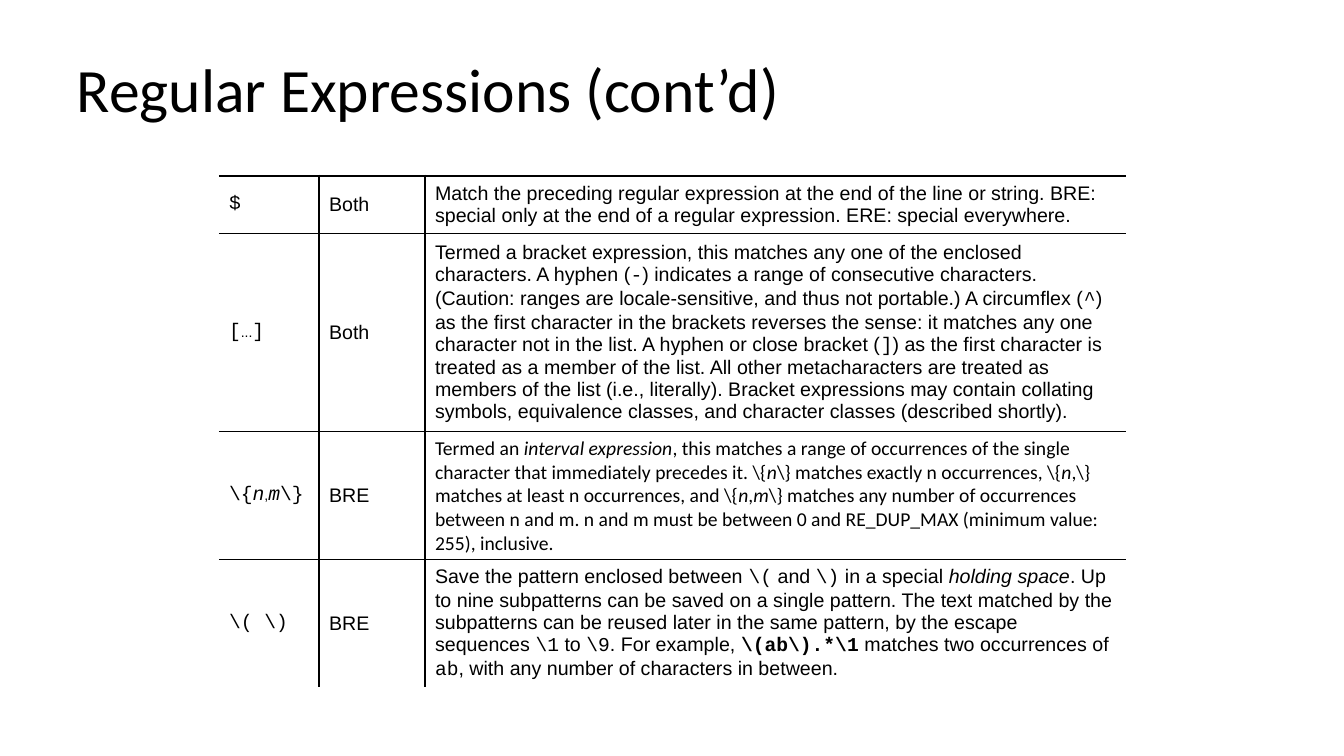
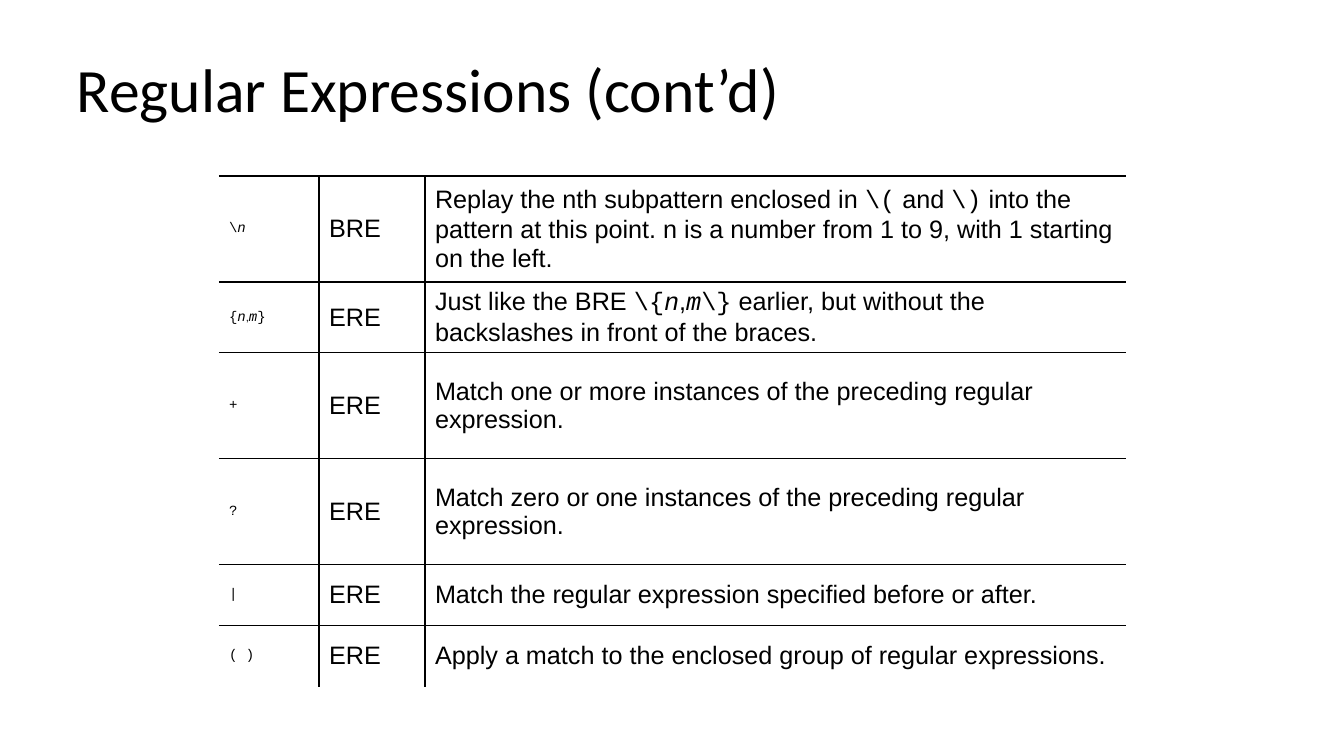
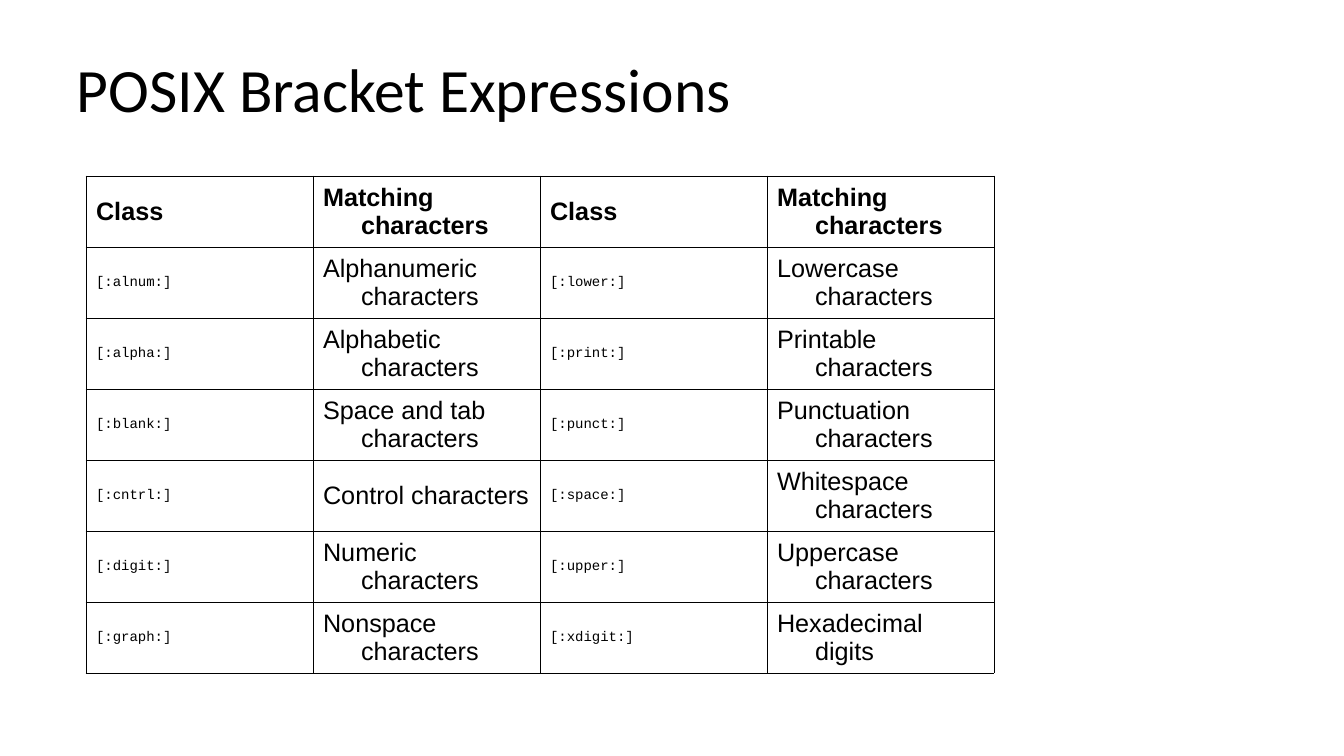
from dataclasses import dataclass

from lxml import etree
from pptx import Presentation
from pptx.dml.color import RGBColor
from pptx.enum.text import MSO_ANCHOR
from pptx.oxml.ns import qn
from pptx.util import Pt

# Shared scale, colours and fonts
PIXEL = 914400 / 100.8
SLIDE_WIDTH, SLIDE_HEIGHT = 1344, 756
BLACK = RGBColor(0x00, 0x00, 0x00)
BODY_FONT, TITLE_FONT, CODE_FONT = "Arial", "Calibri", "Courier New"
MIDDLE = MSO_ANCHOR.MIDDLE
TITLE_BOX = (67, 30, 1210, 126)
HANGING = 38


@dataclass
class Run:
    text: str
    font: str = BODY_FONT
    bold: bool = False
    italic: bool = False
    small: bool = False


@dataclass
class TableStyle:
    symbol_size: float
    small_size: float
    text_size: float
    line: float
    top_line: float = 0
    framed: bool = False
    hanging: int = 0


def px(length):
    return round(length * PIXEL)


def code(text, **style):
    return Run(text, CODE_FONT, **style)


def variable(text):
    return code(text, italic=True)


def small(text):
    return Run(text, small=True)


def calibri(text, italic=False):
    return Run(text, TITLE_FONT, italic=italic)


def add_run(paragraph, content, size):
    run = paragraph.add_run()
    run.text = content.text
    font = run.font
    font.name, font.size = content.font, Pt(size)
    font.bold, font.italic = content.bold, content.italic
    font.color.rgb = BLACK


def set_borders(cell, widths):
    """Draw left, right, top and bottom lines; a width of 0 means no line."""
    properties = cell._tc.get_or_add_tcPr()
    for position, (side, width) in enumerate(zip("LRTB", widths)):
        line = etree.Element(qn(f"a:ln{side}"), w=str(Pt(width)))
        if width:
            fill = etree.SubElement(line, qn("a:solidFill"))
            etree.SubElement(fill, qn("a:srgbClr"), val=str(BLACK))
        else:
            etree.SubElement(line, qn("a:noFill"))
        properties.insert(position, line)


def fill_cell(cell, content, style):
    cell.fill.background()
    cell.vertical_anchor = MIDDLE
    paragraph = cell.text_frame.paragraphs[0]
    if style.hanging:
        properties = paragraph._p.get_or_add_pPr()
        properties.set("marL", str(px(style.hanging)))
        properties.set("indent", str(-px(style.hanging)))
    # A cell that opens with code holds a symbol
    parts = content if isinstance(content, list) else [Run(content)]
    is_symbol = parts[0].font == CODE_FONT
    for part in parts:
        size = style.symbol_size if is_symbol else style.text_size
        add_run(paragraph, part, style.small_size if part.small else size)


def add_title(slide, text, box):
    shape = slide.shapes.add_textbox(*map(px, box))
    frame = shape.text_frame
    frame.word_wrap = True
    frame.vertical_anchor = MIDDLE
    paragraph = frame.paragraphs[0]
    paragraph.line_spacing = 0.9
    add_run(paragraph, Run(text, TITLE_FONT), 44)


def add_ruled_table(slide, left, top, widths, heights, rows, style):
    shape = slide.shapes.add_table(len(rows), len(widths), px(left), px(top),
                                   px(sum(widths)), px(sum(heights)))
    table = shape.table
    table.first_row = table.horz_banding = False
    for column, width in zip(table.columns, widths):
        column.width = px(width)
    for row, height in zip(table.rows, heights):
        row.height = px(height)
    last_row, last_column = len(rows) - 1, len(widths) - 1
    edge = style.line if style.framed else 0
    for i, row in enumerate(rows):
        for j, content in enumerate(row):
            cell = table.cell(i, j)
            fill_cell(cell, content, style)
            set_borders(cell, (
                style.line if j else edge,
                style.line if j < last_column else edge,
                style.line if i else style.top_line or style.line,
                style.line if i < last_row else edge))


def add_table_slide(presentation, title, *table):
    slide = presentation.slides.add_slide(presentation.slide_layouts[6])
    add_title(slide, title, TITLE_BOX)
    add_ruled_table(slide, *table)


# Slide content
BASIC_ROWS = [
    ([code("$")], "Both",
     "Match the preceding regular expression at the end of the line or string. "
     "BRE: special only at the end of a regular expression. "
     "ERE: special everywhere."),
    ([code("["), small("..."), code("]")], "Both", [
        Run("Termed a bracket expression, this matches any one of the enclosed "
            "characters. A hyphen ("),
        code("-"),
        Run(") indicates a range of consecutive characters. (Caution: ranges are "
            "locale-sensitive, and thus not portable.) A circumflex ("),
        code("^"),
        Run(") as the first character in the brackets reverses the sense: it "
            "matches any one character not in the list. A hyphen or close "
            "bracket ("),
        code("]"),
        Run(") as the first character is treated as a member of the list. All "
            "other metacharacters are treated as members of the list (i.e., "
            "literally). Bracket expressions may contain collating symbols, "
            "equivalence classes, and character classes (described shortly)."),
    ]),
    ([code("\\{"), variable("n"), small(","), variable("m"), code("\\}")], "BRE", [
        calibri("Termed an "), calibri("interval expression", True),
        calibri(", this matches a range of occurrences of the single character "
                "that immediately precedes it. \\{"),
        calibri("n", True), calibri("\\} matches exactly n occurrences, \\{"),
        calibri("n", True),
        calibri(",\\} matches at least n occurrences, and \\{"),
        calibri("n", True), calibri(","), calibri("m", True),
        calibri("\\} matches any number of occurrences between n and m. n and m "
                "must be between 0 and RE_DUP_MAX (minimum value: 255), "
                "inclusive."),
    ]),
    ([code("\\( \\)")], "BRE", [
        Run("Save the pattern enclosed between "), code("\\("), Run(" and "),
        code("\\)"), Run(" in a special "), Run("holding space", italic=True),
        Run(". Up to nine subpatterns can be saved on a single pattern. The text "
            "matched by the subpatterns can be reused later in the same pattern, "
            "by the escape sequences "),
        code("\\1"), Run(" to "), code("\\9"), Run(". For example, "),
        code("\\(ab\\).*\\1", bold=True), Run(" matches two occurrences of "),
        code("ab"), Run(", with any number of characters in between."),
    ]),
]

EXTENDED_ROWS = [
    ([code("\\"), variable("n")], "BRE", [
        Run("Replay the nth subpattern enclosed in "), code("\\("), Run(" and "),
        code("\\)"),
        Run(" into the pattern at this point. n is a number from 1 to 9, with 1 "
            "starting on the left."),
    ]),
    ([code("{"), variable("n"), small(","), variable("m"), code("}")], "ERE", [
        Run("Just like the BRE "), code("\\{"), variable("n"), Run(","),
        variable("m"), code("\\}"),
        Run(" earlier, but without the backslashes in front of the braces."),
    ]),
    ([code("+")], "ERE",
     "Match one or more instances of the preceding regular expression."),
    ([code("?")], "ERE",
     "Match zero or one instances of the preceding regular expression."),
    ([code("|")], "ERE", "Match the regular expression specified before or after."),
    ([code("( )")], "ERE",
     "Apply a match to the enclosed group of regular expressions."),
]

POSIX_CLASSES = [
    ("alnum", "Alphanumeric characters", "lower", "Lowercase characters"),
    ("alpha", "Alphabetic characters", "print", "Printable characters"),
    ("blank", "Space and tab characters", "punct", "Punctuation characters"),
    ("cntrl", "Control characters", "space", "Whitespace characters"),
    ("digit", "Numeric characters", "upper", "Uppercase characters"),
    ("graph", "Nonspace characters", "xdigit", "Hexadecimal digits"),
]
POSIX_HEADER = [[Run(text, bold=True)] for text in ("Class", "Matching characters") * 2]
POSIX_ROWS = [POSIX_HEADER] + [
    ([code(f"[:{first}:]")], first_match, [code(f"[:{second}:]")], second_match)
    for first, first_match, second, second_match in POSIX_CLASSES]

OPERATOR_COLUMNS = (100, 106, 701)
CONTINUED = "Regular Expressions (cont’d)"

presentation = Presentation()
presentation.slide_width = px(SLIDE_WIDTH)
presentation.slide_height = px(SLIDE_HEIGHT)
add_table_slide(presentation, CONTINUED, 219, 176, OPERATOR_COLUMNS,
                (57, 192, 128, 126), BASIC_ROWS,
                TableStyle(14, 10, 14, line=1, top_line=2.25))
add_table_slide(presentation, CONTINUED, 219, 176, OPERATOR_COLUMNS,
                (106, 69, 106, 106, 61, 61), EXTENDED_ROWS,
                TableStyle(10, 8, 18, line=1))
add_table_slide(presentation, "POSIX Bracket Expressions", 86, 176, [227] * 4,
                [71] * len(POSIX_ROWS), POSIX_ROWS,
                TableStyle(10, 8, 18, line=0.75, framed=True, hanging=HANGING))
presentation.save("out.pptx")
